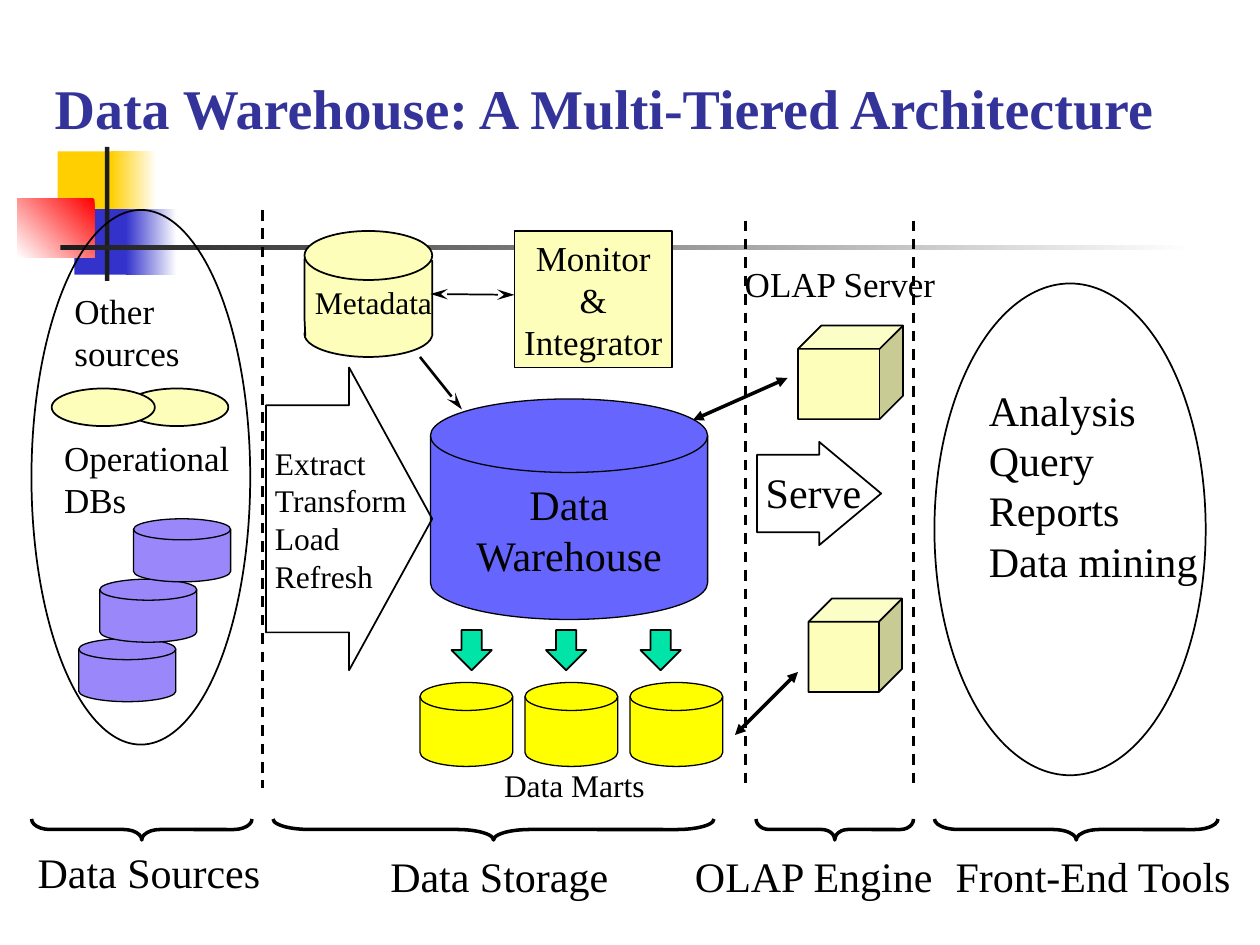
from lxml import etree
from pptx import Presentation
from pptx.dml import color
from pptx.enum import dml, shapes, text
from pptx.oxml import ns
from pptx.util import Pt

COLORS = {
    "black": "000000", "white": "FFFFFF", "title": "333399", "ink": "1C1C1C",
    "gold": "FFCF01", "blue": "3333CC", "red": "FF0000", "cream": "FCFEB9",
    "warehouse": "6666FF", "mart": "FFFF00", "database": "9A87F9", "green": "00E4A8",
}
RGB = {name: color.RGBColor.from_string(value) for name, value in COLORS.items()}
FONT = "Times New Roman"
KIND = shapes.MSO_SHAPE
LEFT, CENTER = text.PP_ALIGN.LEFT, text.PP_ALIGN.CENTER

presentation = Presentation()
presentation.slide_width, presentation.slide_height = Pt(720), Pt(540)
slide = presentation.slides.add_slide(presentation.slide_layouts[5])


def add_shape(kind, box, fill=None, line=1, fade=None):
    shape = slide.shapes.add_shape(kind, *map(Pt, box))
    shape.shadow.inherit = False
    if fade is not None:
        shape.fill.gradient()
        shape.fill.gradient_angle = fade
        for stop, name in zip(shape.fill.gradient_stops, (fill, "white")):
            stop.color.rgb = RGB[name]
    elif fill:
        shape.fill.solid()
        shape.fill.fore_color.rgb = RGB[fill]
    else:
        shape.fill.background()
    if line:
        shape.line.color.rgb = RGB["black"]
        shape.line.width = Pt(line)
    else:
        shape.line.fill.background()
    return shape


def set_text(shape, lines, size, align=LEFT, inset=True):
    frame = shape.text_frame
    frame.word_wrap = False
    frame.margin_left = frame.margin_right = Pt(7.2 if inset else 0)
    frame.margin_top = frame.margin_bottom = Pt(3.6 if inset else 0)
    frame.text = "\n".join(lines)
    for paragraph in frame.paragraphs:
        paragraph.alignment = align
        paragraph.font.name = FONT
        paragraph.font.size = Pt(size)
        paragraph.font.color.rgb = RGB["black"]


for box, fill, fade in [
    ((33, 86.5, 35, 37.5), "gold", None),
    ((63.5, 86.5, 26, 37.5), "gold", 0),
    ((42.5, 119.5, 33, 37.5), "blue", None),
    ((72, 119.5, 29, 37.5), "blue", 0),
    ((10, 113.5, 44, 33.5), "red", 225),
    ((60, 84, 2.5, 76.5), "ink", None),
    ((34.5, 140.3, 648, 2.5), "ink", 0),
]:
    add_shape(KIND.RECTANGLE, box, fill, 0, fade)

title = slide.shapes.title
title.left, title.top, title.width, title.height = Pt(24), Pt(36), Pt(672), Pt(48)
set_text(title, ["Data Warehouse: A Multi-Tiered Architecture"], 32)
title.text_frame.auto_size = text.MSO_AUTO_SIZE.NONE
title.text_frame.vertical_anchor = text.MSO_ANCHOR.BOTTOM
title_font = title.text_frame.paragraphs[0].font
title_font.bold = True
title_font.color.rgb = RGB["title"]

add_shape(KIND.FLOWCHART_MAGNETIC_DISK, (246, 228, 158.4, 126), "warehouse", 0.75)
add_shape(KIND.OVAL, (534, 162, 155, 281))
for box, head in [((432.5, 252.5, 71, 59), 0.6), ((152, 210, 95, 173), 0.5)]:
    arrow = add_shape(KIND.RIGHT_ARROW, box)
    arrow.adjustments[0], arrow.adjustments[1] = 0.75, head

monitor = add_shape(KIND.RECTANGLE, (294, 132, 90, 78), "cream")
set_text(monitor, ["Monitor", "&", "Integrator"], 20, CENTER)
monitor.text_frame.vertical_anchor = text.MSO_ANCHOR.MIDDLE

add_shape(KIND.OVAL, (174, 178, 73, 26), "cream")
builder = slide.shapes.build_freeform(Pt(174.5), Pt(192))
builder.add_line_segments(
    [(Pt(x), Pt(y)) for x, y in [(174, 182), (174, 148), (247, 149), (247, 192)]], close=False)
metadata_body = builder.convert_to_shape()
metadata_body.shadow.inherit = False
metadata_body.fill.solid()
metadata_body.fill.fore_color.rgb = RGB["cream"]
metadata_body.line.color.rgb = RGB["black"]
metadata_body.line.width = Pt(1)
add_shape(KIND.OVAL, (174, 132, 73, 28), "cream")

for box in [(456, 186, 60, 53.5), (462, 342, 53.5, 53.5)]:
    add_shape(KIND.CUBE, box, "cream")
for column in range(3):
    add_shape(KIND.DOWN_ARROW, (258 + 54 * column, 360, 23, 23), "green")
    add_shape(KIND.FLOWCHART_MAGNETIC_DISK, (240 + 60 * column, 390, 53, 48), "mart", 0.75)

add_shape(KIND.OVAL, (71.5, 222, 59, 21.5), "cream")
add_shape(KIND.OVAL, (18, 120, 125, 305.5))
add_shape(KIND.OVAL, (29.5, 222, 59, 21.5), "cream")
for left, top in [(45, 365), (57, 331), (76.3, 296.5)]:
    add_shape(KIND.FLOWCHART_MAGNETIC_DISK, (left, top, 55.5, 36), "database", 0.75)

for left, width in [(18, 126), (156, 252), (432, 90), (534, 162)]:
    brace = add_shape(KIND.RIGHT_BRACE, (left + width / 2 - 6, 474 - width / 2, 12, width), None, 2)
    brace.rotation = 90
    brace.adjustments[0] = width / 144

for box, lines, size, align, inset in [
    ((264, 270, 122.5, 65), ["Data", "Warehouse"], 24, CENTER, True),
    ((150, 250, 90.5, 94), ["Extract", "Transform", "Load", "Refresh"], 18, LEFT, True),
    ((558, 216, 134, 122), ["Analysis", "Query", "Reports", "Data mining"], 24, LEFT, True),
    ((180, 162, 67, 22), ["Metadata"], 18, LEFT, False),
    ((430.5, 263, 69, 36), ["Serve"], 24, LEFT, True),
    ((288, 438, 80.5, 22), ["Data Marts"], 18, CENTER, False),
    ((29.5, 246, 114.5, 55), ["Operational", "DBs"], 20, LEFT, True),
    ((35.5, 162, 74.5, 55), ["Other", "sources"], 20, LEFT, True),
    ((420, 150, 120, 24), ["OLAP Server"], 20, CENTER, False),
    ((14.4, 480, 142, 36), ["Data Sources"], 24, LEFT, True),
    ((223, 486, 126, 29), ["Data Storage"], 24, LEFT, False),
    ((390, 486, 150, 29), ["OLAP Engine"], 24, CENTER, False),
    ((546, 486, 159, 29), ["Front-End Tools"], 24, LEFT, False),
]:
    label = slide.shapes.add_textbox(*map(Pt, box))
    set_text(label, lines, size, align, inset)
    label.text_frame.auto_size = text.MSO_AUTO_SIZE.SHAPE_TO_FIT_TEXT

for ends, width, head, tail in [
    ((246, 168, 294, 168.5), 1, "stealth", "stealth"),
    ((240, 204, 264, 234), 1.5, None, "stealth"),
    ((396, 240, 450, 216), 2, "triangle", "triangle"),
    ((420, 420, 456, 384), 2, "triangle", "triangle"),
    ((150, 120, 150, 450), 1.5, None, None),
    ((426, 126, 426, 450), 1.5, None, None),
    ((522, 126, 522, 450), 1.5, None, None),
]:
    connector = slide.shapes.add_connector(shapes.MSO_CONNECTOR.STRAIGHT, *map(Pt, ends))
    connector.line.color.rgb = RGB["black"]
    connector.line.width = Pt(width)
    if not tail:
        connector.line.dash_style = dml.MSO_LINE.DASH
    properties = connector.element.spPr
    outline = properties.find(ns.qn("a:ln"))
    for tag, kind in [("a:headEnd", head), ("a:tailEnd", tail)]:
        if kind:
            length = "lg" if kind == "stealth" else "med"
            etree.SubElement(outline, ns.qn(tag), type=kind, len=length)
    etree.SubElement(properties, ns.qn("a:effectLst"))

presentation.save("out.pptx")
